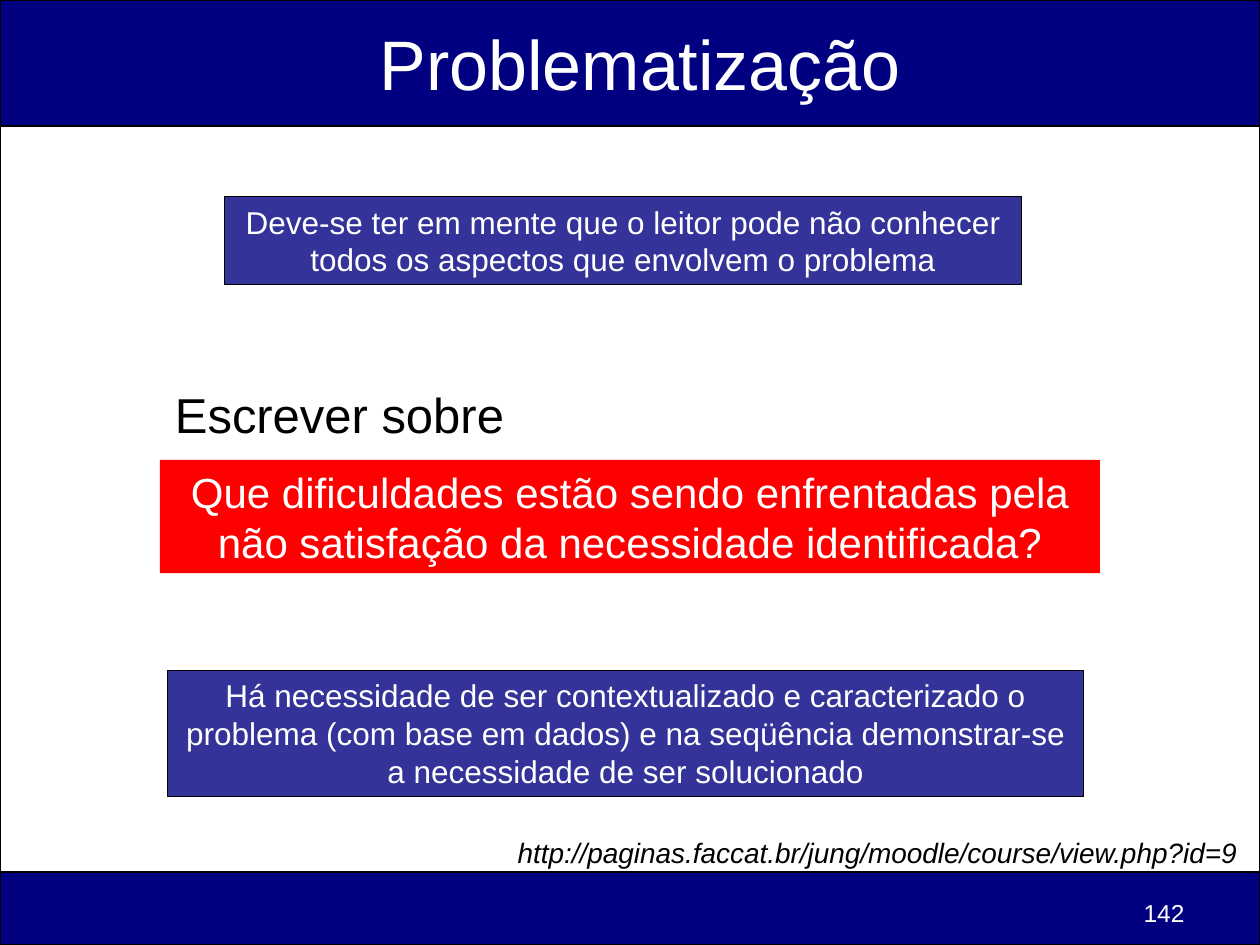
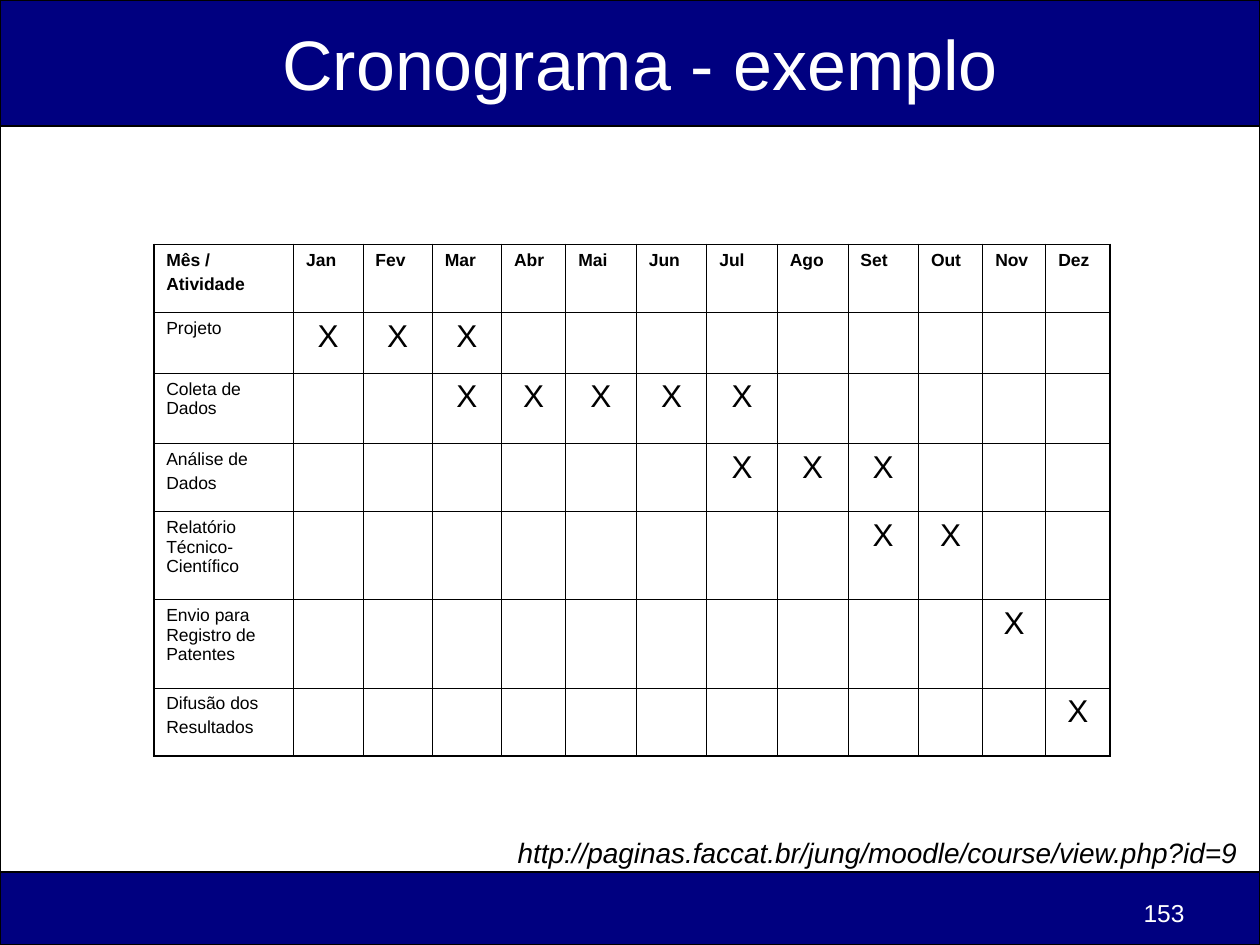
from dataclasses import dataclass
from lxml.etree import SubElement
from pptx import Presentation
from pptx.dml.color import RGBColor as Rgb
from pptx.enum.shapes import MSO_SHAPE as Kind
from pptx.enum.text import MSO_ANCHOR as Anchor, MSO_AUTO_SIZE as Auto, PP_ALIGN as Align
from pptx.oxml.ns import qn
from pptx.slide import Slide
from pptx.table import _Cell as Cell
from pptx.text.text import TextFrame
from pptx.util import Inches, Pt

COLS, ROWS = 100, 75
WIDE, HIGH = Inches(10), Inches(7.5)
FONT = "Arial"
HUES = {
    "back": "E4E5FE", "navy": "000080", "blue": "333399",
    "red": "FF0000", "white": "FFFFFF", "black": "000000",
}
LINK = "http://paginas.faccat.br/jung/moodle/course/view.php?id=9"
THIN, THICK = 0.45, 1.08


@dataclass(frozen=True)
class Spot:
    col: float
    row: float
    wide: float
    high: float

    def place(self) -> tuple[int, int, int, int]:
        return across(self.col), down(self.row), across(self.wide), down(self.high)


@dataclass(frozen=True)
class Style:
    size: float
    hue: str = "white"
    align: Align = Align.CENTER
    bold: bool = False
    slant: bool = False
    gap: float = 0


@dataclass(frozen=True)
class Panel:
    spot: Spot
    fill: str
    line: float = 0
    text: str = ""
    size: float = 18


@dataclass(frozen=True)
class Label:
    spot: Spot
    text: str
    style: Style
    wrap: bool = True
    anchor: Anchor = Anchor.TOP
    grow: bool = False


@dataclass(frozen=True)
class Task:
    name: str
    first: int
    last: int
    high: float


BANDS = (
    Panel(Spot(0, 10, COLS, 59.2), "white", 1),
    Panel(Spot(0, 0, COLS, 10), "navy", 1),
    Panel(Spot(0, 69.2, COLS, 5.8), "navy", 1),
)
PANELS = (
    Panel(Spot(12.7, 36.5, 74.6, 9), "red", 0,
          "Que dificuldades estão sendo enfrentadas pela não satisfação da necessidade identificada?", 24),
    Panel(Spot(17.8, 15.6, 63.3, 7), "blue", 0.75,
          "Deve-se ter em mente que o leitor pode não conhecer todos os aspectos que envolvem o problema"),
    Panel(Spot(13.3, 53.2, 72.7, 10), "blue", 0.75,
          "Há necessidade de ser contextualizado e caracterizado o problema (com base em dados) "
          "e na seqüência demonstrar-se a necessidade de ser solucionado"),
)
MONTHS = "Jan Fev Mar Abr Mai Jun Jul Ago Set Out Nov Dez".split()
WIDTHS = (11.1, *[5.5] * 3, 5.1, *[5.6] * 5, 5.1, 5, 5.1)
HEAD = 5.4
TASKS = (
    Task("Projeto", 1, 3, 4.8),
    Task("Coleta de Dados", 3, 7, 5.6),
    Task("Análise de\nDados", 7, 9, 5.4),
    Task("Relatório Técnico-Científico", 9, 10, 7),
    Task("Envio para Registro de Patentes", 11, 11, 7),
    Task("Difusão dos\nResultados", 12, 12, 5.4),
)
HEADING = Style(10, "black", Align.LEFT, bold=True, gap=2.5)
NAME = Style(10, "black", Align.LEFT, gap=2.5)
MARK = Style(18, "black")


def across(cols: float) -> int:
    return round(WIDE * cols / COLS)


def down(rows: float) -> int:
    return round(HIGH * rows / ROWS)


def shade(name: str) -> Rgb:
    return Rgb.from_string(HUES[name])


def write(frame: TextFrame, text: str, style: Style) -> None:
    for i, line in enumerate(text.split("\n")):
        para = frame.add_paragraph() if i else frame.paragraphs[0]
        para.text = line
        para.alignment = style.align
        para.space_before = Pt(style.gap if i else 0)
        font = para.font
        font.name, font.size = FONT, Pt(style.size)
        font.bold, font.italic = style.bold, style.slant
        font.color.rgb = shade(style.hue)


def draw_panel(slide: Slide, panel: Panel) -> None:
    shape = slide.shapes.add_shape(Kind.RECTANGLE, *panel.spot.place())
    shape.shadow.inherit = False
    shape.fill.solid()
    shape.fill.fore_color.rgb = shade(panel.fill)
    if panel.line:
        shape.line.color.rgb = shade("black")
        shape.line.width = Pt(panel.line)
    else:
        shape.line.fill.background()
    if panel.text:
        frame = shape.text_frame
        frame.word_wrap, frame.vertical_anchor = True, Anchor.TOP
        frame.auto_size = Auto.SHAPE_TO_FIT_TEXT
        write(frame, panel.text, Style(panel.size))


def draw_label(slide: Slide, label: Label) -> None:
    frame = slide.shapes.add_textbox(*label.spot.place()).text_frame
    frame.word_wrap, frame.vertical_anchor = label.wrap, label.anchor
    frame.auto_size = Auto.SHAPE_TO_FIT_TEXT if label.grow else Auto.NONE
    write(frame, label.text, label.style)


def add_slide(deck: Presentation, title: str, page: int) -> Slide:
    slide = deck.slides.add_slide(deck.slide_layouts[6])
    slide.background.fill.solid()
    slide.background.fill.fore_color.rgb = shade("back")
    for band in BANDS:
        draw_panel(slide, band)
    for label in (
        Label(Spot(40.1, 65.8, 59.2, 3.7), LINK,
              Style(16, "black", Align.LEFT, slant=True), wrap=False, grow=True),
        Label(Spot(10.8, 0, 80, 10), title, Style(40), anchor=Anchor.MIDDLE),
        Label(Spot(71.7, 70.8, 23.3, 2.7), str(page), Style(14, align=Align.RIGHT)),
    ):
        draw_label(slide, label)
    return slide


def edge(cell: Cell, sides: dict[str, float]) -> None:
    props = cell._tc.get_or_add_tcPr()
    for i, (side, width) in enumerate(sides.items()):
        line = SubElement(props, qn(f"a:ln{side}"), w=str(Pt(width)))
        fill = SubElement(line, qn("a:solidFill"))
        SubElement(fill, qn("a:srgbClr"), val=HUES["black"])
        props.insert(i, line)


def draw_chart(slide: Slide) -> None:
    highs = (HEAD, *(task.high for task in TASKS))
    spot = Spot(12.2, 19.4, sum(WIDTHS), sum(highs))
    table = slide.shapes.add_table(len(highs), len(WIDTHS), *spot.place()).table
    table.first_row = table.horz_banding = False
    for col, wide in zip(table.columns, WIDTHS):
        col.width = across(wide)
    for row, high in zip(table.rows, highs):
        row.height = down(high)
    for c, text in enumerate(("Mês /\nAtividade", *MONTHS)):
        write(table.cell(0, c).text_frame, text, HEADING)
    for r, task in enumerate(TASKS, 1):
        write(table.cell(r, 0).text_frame, task.name, NAME)
        for c in range(task.first, task.last + 1):
            write(table.cell(r, c).text_frame, "X", MARK)
    for r in range(len(highs)):
        for c in range(len(WIDTHS)):
            cell = table.cell(r, c)
            cell.fill.background()
            outer = {"L": c == 0, "R": c == len(MONTHS), "T": r == 0, "B": r == len(TASKS)}
            edge(cell, {side: THICK if out else THIN for side, out in outer.items()})


def main() -> None:
    deck = Presentation()
    deck.slide_width, deck.slide_height = WIDE, HIGH
    slide = add_slide(deck, "Problematização", 142)
    for panel in PANELS:
        draw_panel(slide, panel)
    draw_label(slide, Label(Spot(12.9, 30, 34.6, 5.7), "Escrever sobre",
                            Style(28, "black", Align.LEFT), grow=True))
    draw_chart(add_slide(deck, "Cronograma - exemplo", 153))
    deck.save("out.pptx")


if __name__ == "__main__":
    main()
